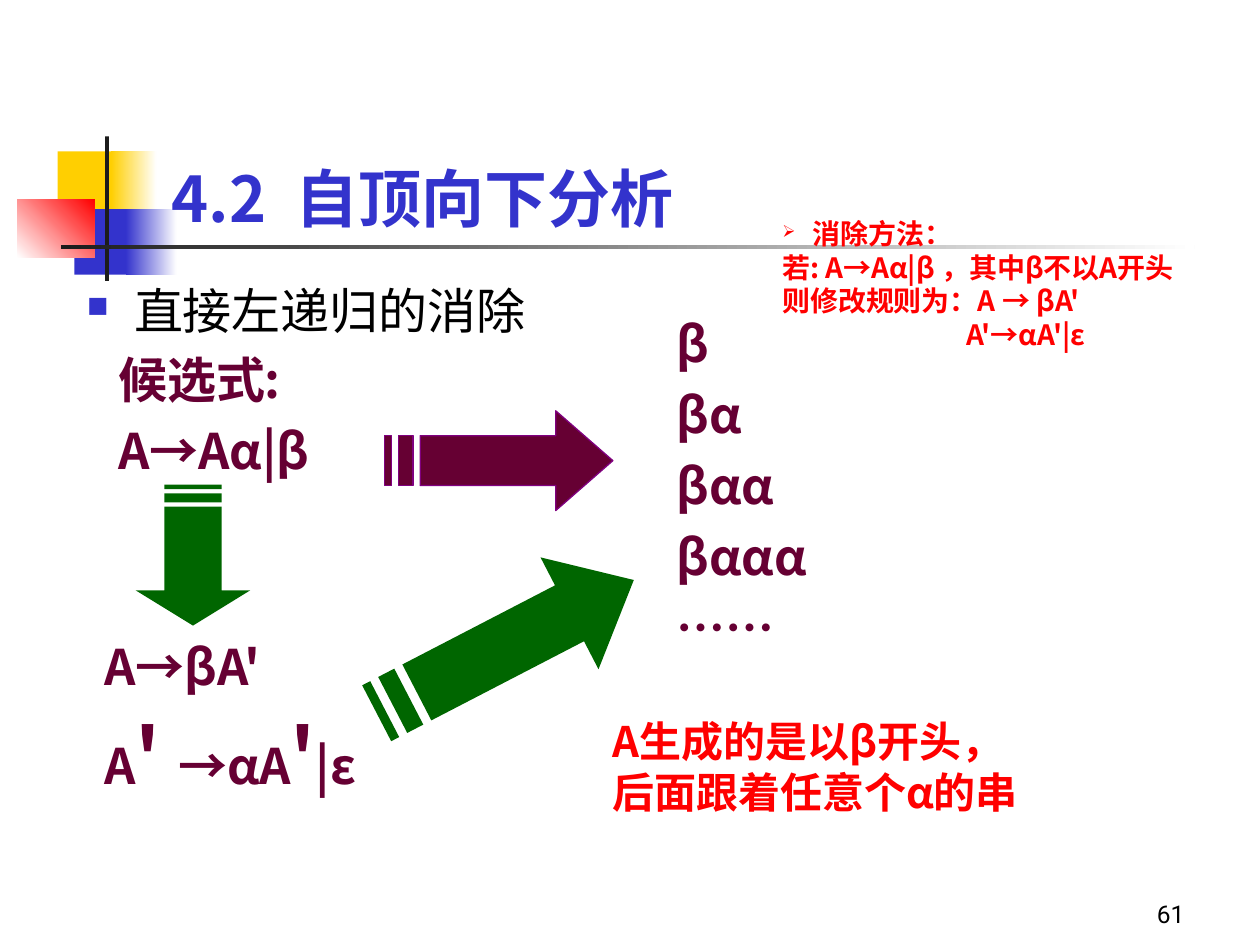
from itertools import groupby

from lxml import etree
from pptx import Presentation
from pptx.dml.color import RGBColor
from pptx.enum.shapes import MSO_SHAPE
from pptx.enum.text import MSO_ANCHOR, PP_ALIGN
from pptx.oxml.ns import qn
from pptx.util import Pt

RECT = MSO_SHAPE.RECTANGLE
TOP, BOTTOM = MSO_ANCHOR.TOP, MSO_ANCHOR.BOTTOM
LEFT, RIGHT = PP_ALIGN.LEFT, PP_ALIGN.RIGHT


class Theme:
    yellow, blue, red = "FFCF01", "3333CC", "FF0000"
    dark, black, white = "1C1C1C", "000000", "FFFFFF"
    wine, purple, green = "660033", "800080", "006600"
    sans, han, greek = "Roboto", "Noto Sans CJK JP", "Noto Sans CJK SC"
    title, body, prime, result, method, number = 36, 28, 44, 24, 16, 14


def rgb(value):
    return RGBColor.from_string(value)


def add_bar(s, box, color, end=None, angle=0):
    """Rectangle in one colour, or fading from color to end."""
    sp = s.shapes.add_shape(RECT, *map(Pt, box))
    sp.shadow.inherit = False
    sp.line.fill.background()
    if end is None:
        sp.fill.solid()
        sp.fill.fore_color.rgb = rgb(color)
        return
    sp.fill.gradient()
    sp.fill.gradient_angle = angle
    for stop, position, value in zip(sp.fill.gradient_stops, (0, 1), (color, end)):
        stop.position = position
        stop.color.rgb = rgb(value)


def add_striped_arrow(s, box, color, rotation=0, outline=None):
    """Arrow with two tail stripes, drawn pointing right and then turned."""
    x, y, w, h = box

    def points(pairs):
        return [(Pt(x + w * u), Pt(y + h * v)) for u, v in pairs]

    def stripe(start, end):
        return [(start, .25), (start, .75), (end, .75), (end, .25)]

    head = [(.75, 0), (.75, .25), (5 / 32, .25), (5 / 32, .75),
            (.75, .75), (.75, 1), (1, .5)]
    first, *others = map(points, (head, stripe(1 / 16, 1 / 8), stripe(0, 1 / 32)))
    builder = s.shapes.build_freeform(*first[0])
    builder.add_line_segments(first[1:], close=True)
    for contour in others:
        builder.move_to(*contour[0])
        builder.add_line_segments(contour[1:], close=True)
    sp = builder.convert_to_shape()
    sp.shadow.inherit = False
    sp.rotation = rotation
    sp.fill.solid()
    sp.fill.fore_color.rgb = rgb(color)
    if outline:
        sp.line.color.rgb = rgb(outline)
        sp.line.width = Pt(.75)
    else:
        sp.line.fill.background()


def add_bullet(p, char, color, hang):
    pPr = p._p.get_or_add_pPr()
    pPr.set("marL", str(Pt(hang)))
    pPr.set("indent", str(-Pt(hang)))
    bu_color = etree.SubElement(pPr, qn("a:buClr"))
    etree.SubElement(bu_color, qn("a:srgbClr"), val=color)
    etree.SubElement(pPr, qn("a:buSzPct"), val="60000")
    etree.SubElement(pPr, qn("a:buChar"), char=char)


def add_run(p, text, font, size, color, bold):
    r = p.add_run()
    r.text = text
    values = {"name": font, "size": Pt(size), "bold": bold}
    for name, value in values.items():
        setattr(r.font, name, value)
    r.font.color.rgb = rgb(color)
    east = Theme.greek if font == Theme.sans else font
    etree.SubElement(r._r.get_or_add_rPr(), qn("a:ea"), typeface=east)


def add_text(s, box, lines, size, color, font=Theme.han, bold=True, gap=0,
             anchor=TOP, align=LEFT, bullet=None, indents=None):
    """Text box; a line is a string or a list of (text, size) pieces."""
    tf = s.shapes.add_textbox(*map(Pt, box)).text_frame
    tf.word_wrap = True
    tf.vertical_anchor = anchor
    for i, line in enumerate(lines):
        p = tf.paragraphs[0] if i == 0 else tf.add_paragraph()
        if bullet and i == 0:
            add_bullet(p, *bullet)
        if indents and i in indents:
            p._p.get_or_add_pPr().set("marL", str(Pt(indents[i])))
        p.alignment = align
        if i:
            p.space_before = Pt(gap)
        pieces = [(line, size)] if isinstance(line, str) else line
        for text, piece_size in pieces:
            # Greek letters take their own typeface
            for is_greek, chars in groupby(text, lambda c: c in "αβε"):
                face = Theme.greek if is_greek else font
                add_run(p, "".join(chars), face, piece_size, color, bold)


def add_ornament(s):
    t = Theme
    add_bar(s, (33, 86.5, 34.5, 37.5), t.yellow)
    add_bar(s, (63.5, 86.5, 26, 37.5), t.yellow, t.white)
    add_bar(s, (42.5, 119.5, 33, 37.5), t.blue)
    add_bar(s, (72, 119.5, 29, 37.5), t.blue, t.white)
    add_bar(s, (10, 113.75, 44, 33.5), t.white, t.red, angle=45)
    add_bar(s, (60, 78, 2.25, 82.5), t.dark)
    add_bar(s, (34.75, 140, 648, 2.5), t.dark, t.white)


def main():
    t = Theme
    prs = Presentation()
    prs.slide_width, prs.slide_height = Pt(720), Pt(540)
    s = prs.slides.add_slide(prs.slide_layouts[6])

    # Ornament, page number and headings
    add_ornament(s)
    add_text(s, (534, 498, 150, 36), ["61"], t.number, t.black, t.sans,
             bold=False, anchor=BOTTOM, align=RIGHT)
    add_text(s, (91, 48, 613, 90), ["4.2  自顶向下分析"], t.title, t.blue,
             t.greek, anchor=BOTTOM)
    add_text(s, (42.5, 157, 317.5, 53), ["直接左递归的消除"], t.body, t.black,
             t.sans, bold=False, bullet=("■", t.blue, 27))

    # Grammar before and after the rewrite
    add_text(s, (60.5, 196, 249, 81), ["候选式:", "A→Aα|β"], t.body, t.wine, gap=7)
    rewritten = [("A", t.body), ("' ", t.prime), ("→αA", t.body),
                 ("'", t.prime), ("|ε", t.body)]
    add_text(s, (52.5, 360, 181.5, 101), ["A→βA'", rewritten], t.body, t.wine, gap=7)

    # Generated strings
    strings = ["β" + "α" * n for n in range(4)] + ["……"]
    add_text(s, (379.5, 175.5, 164, 204), strings, t.body, t.wine, gap=7)
    add_text(s, (342.75, 405.5, 258, 65), ["A生成的是以β开头，后面跟着任意个α的串"],
             t.result, t.red)

    # Arrows between the forms
    add_striped_arrow(s, (219.75, 234.75, 130.5, 57), t.wine, outline=t.purple)
    add_striped_arrow(s, (206, 333.5, 165.5, 72), t.green, rotation=332.6)
    add_striped_arrow(s, (70, 284.5, 80.5, 65.5), t.green, rotation=90)

    # Elimination method
    method = ["消除方法：", "若: A→Aα|β ，其中β不以A开头", "则修改规则为：A → βA'", "A'→αA'|ε"]
    add_text(s, (440, 120.25, 268, 84), method, t.method, t.red,
             bullet=("➢", t.red, 17.25), indents={3: 105})

    prs.save("out.pptx")


if __name__ == "__main__":
    main()
